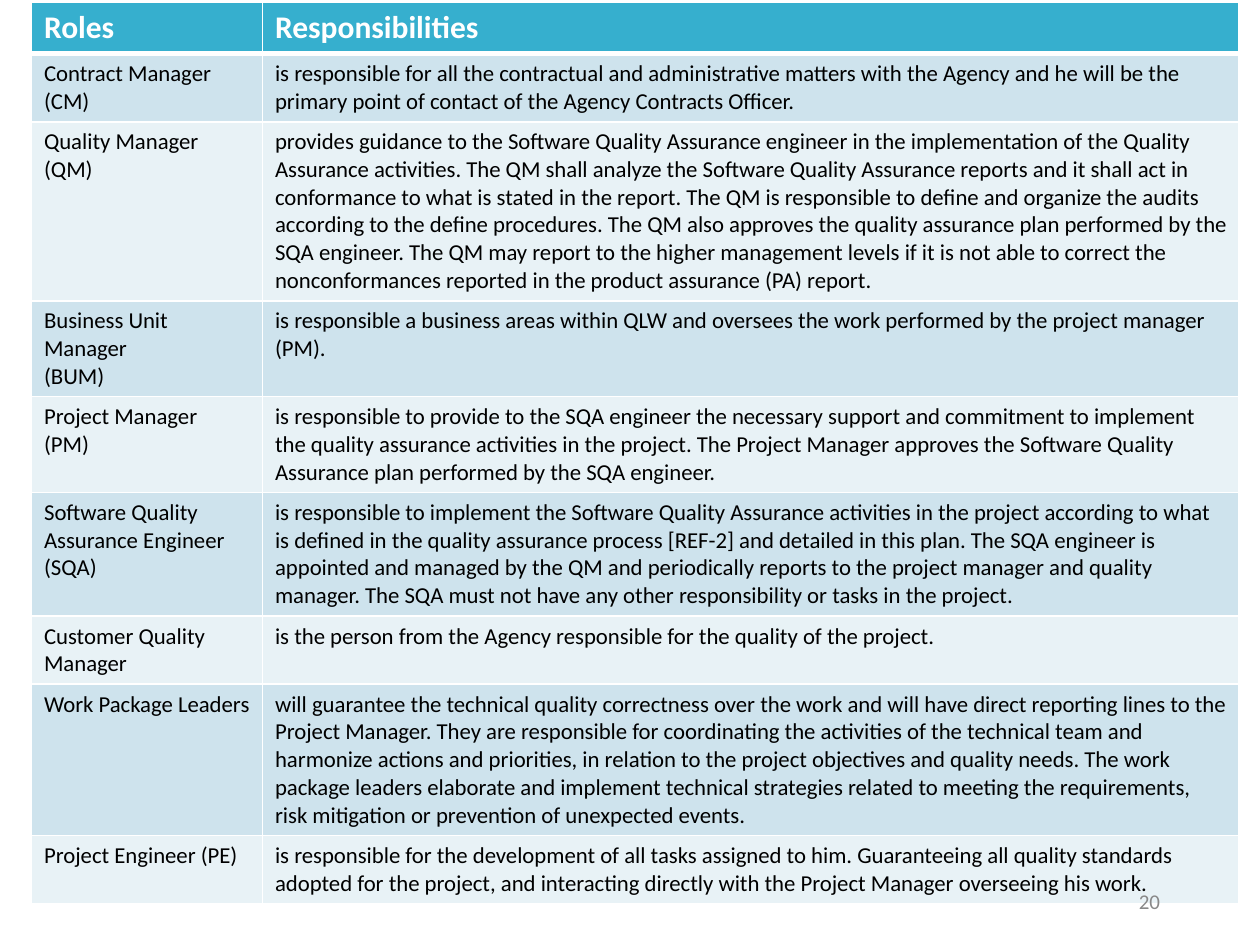
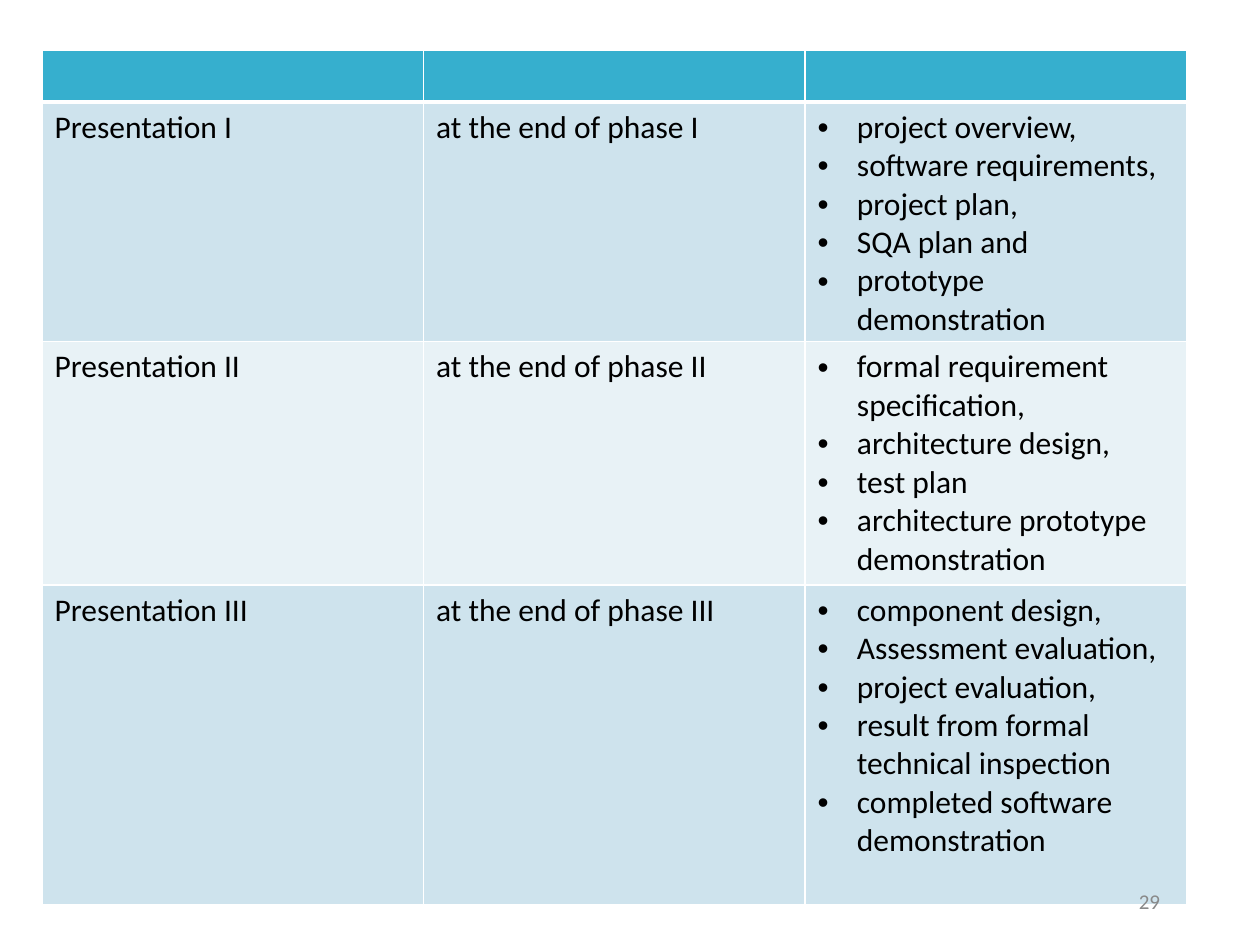
import pptx
import pptx.dml.color
import pptx.enum.text
import pptx.oxml
import pptx.oxml.ns
import pptx.util
from pptx.util import Pt

FONT = "Calibri"
HEADER, BANDS = "36AFCE", ("CEE3ED", "E8F2F6")
WHITE, BLACK, GREY = "FFFFFF", "000000", "898989"
HEADER_SIZE = 18
BULLET_INDENT = 22.5

# A cell is a string or a list of paragraphs.
ROLES = {
    "number": "20",
    "left": 18, "top": 1.5, "body_size": 13, "bulleted_column": None,
    "widths": [132, 558],
    "heights": [29.2, 38.4, 100.8, 54, 54, 69.6, 38.4, 85, 38.4],
    "rows": [
        ("Roles", "Responsibilities"),
        (["Contract Manager", "(CM)"],
         "is responsible for all the contractual and administrative matters with the "
         "Agency and he will be the primary point of contact of the Agency Contracts "
         "Officer."),
        (["Quality Manager", "(QM)"],
         "provides guidance to the Software Quality Assurance engineer in the "
         "implementation of the Quality Assurance activities. The QM shall analyze the "
         "Software Quality Assurance reports and it shall act in conformance to what is "
         "stated in the report. The QM is responsible to define and organize the audits "
         "according to the define procedures. The QM also approves the quality assurance "
         "plan performed by the SQA engineer. The QM may report to the higher management "
         "levels if it is not able to correct the nonconformances reported in the product "
         "assurance (PA) report."),
        (["Business Unit Manager", "(BUM)"],
         "is responsible a business areas within QLW and oversees the work performed by "
         "the project manager (PM)."),
        (["Project Manager", "(PM)"],
         "is responsible to provide to the SQA engineer the necessary support and "
         "commitment to implement the quality assurance activities in the project. The "
         "Project Manager approves the Software Quality Assurance plan performed by the "
         "SQA engineer."),
        (["Software Quality", "Assurance Engineer", "(SQA)"],
         "is responsible to implement the Software Quality Assurance activities in the "
         "project according to what is defined in the quality assurance process [REF-2] "
         "and detailed in this plan. The SQA engineer is appointed and managed by the QM "
         "and periodically reports to the project manager and quality manager. The SQA "
         "must not have any other responsibility or tasks in the project."),
        (["Customer Quality", "Manager"],
         "is the person from the Agency responsible for the quality of the project."),
        ("Work Package Leaders",
         "will guarantee the technical quality correctness over the work and will have "
         "direct reporting lines to the Project Manager. They are responsible for "
         "coordinating the activities of the technical team and harmonize actions and "
         "priorities, in relation to the project objectives and quality needs. The work "
         "package leaders elaborate and implement technical strategies related to meeting "
         "the requirements, risk mitigation or prevention of unexpected events."),
        ("Project Engineer (PE)",
         "is responsible for the development of all tasks assigned to him. Guaranteeing "
         "all quality standards adopted for the project, and interacting directly with "
         "the Project Manager overseeing his work."),
    ],
}

PRESENTATIONS = {
    "number": "29",
    "left": 24, "top": 29, "body_size": 18, "bulleted_column": 2,
    "widths": [218] * 3,
    "heights": [29.2, 137, 139, 183],
    "rows": [
        ("", "", ""),
        ("Presentation I", "at the end of phase I",
         ["project overview,", "software requirements,", "project plan,",
          "SQA plan and", "prototype demonstration"]),
        ("Presentation II", "at the end of phase II",
         ["formal requirement specification,", "architecture design,", "test plan",
          "architecture prototype demonstration"]),
        ("Presentation III", "at the end of phase III",
         ["component design,", "Assessment evaluation,", "project evaluation,",
          "result from formal technical inspection",
          "completed software demonstration"]),
    ],
}


def rgb(color):
    return pptx.dml.color.RGBColor.from_string(color)


def set_font(paragraph, size, color, bold=False):
    for run in paragraph.runs:
        run.font.name, run.font.size, run.font.bold = FONT, Pt(size), bold
        run.font.color.rgb = rgb(color)


def add_bullet(paragraph):
    properties = paragraph._p.get_or_add_pPr()
    properties.set("marL", str(Pt(BULLET_INDENT)))
    properties.set("indent", str(-Pt(BULLET_INDENT)))
    for xml in ('<a:buFont {} typeface="Arial"/>', '<a:buChar {} char="•"/>'):
        properties.append(pptx.oxml.parse_xml(xml.format(pptx.oxml.ns.nsdecls("a"))))


def add_borders(cell, top, bottom):
    """Draw white borders; call before the fill, which must follow them in the XML."""
    properties = cell._tc.get_or_add_tcPr()
    for side, width in (("L", 1), ("R", 1), ("T", top), ("B", bottom)):
        properties.append(pptx.oxml.parse_xml(
            f'<a:ln{side} {pptx.oxml.ns.nsdecls("a")} w="{Pt(width)}"><a:solidFill>'
            f'<a:srgbClr val="{WHITE}"/></a:solidFill></a:ln{side}>'))


def fill_cell(cell, content, row, body_size, bulleted):
    is_header = row == 0
    add_borders(cell, top=3 if row == 1 else 1, bottom=3 if is_header else 1)
    cell.fill.solid()
    cell.fill.fore_color.rgb = rgb(HEADER if is_header else BANDS[(row - 1) % 2])
    cell.text_frame.text = content if isinstance(content, str) else "\n".join(content)
    for paragraph in cell.text_frame.paragraphs:
        if bulleted and not is_header:
            add_bullet(paragraph)
        if is_header:
            set_font(paragraph, HEADER_SIZE, WHITE, bold=True)
        else:
            set_font(paragraph, body_size, BLACK)


def add_grid(slide, page):
    widths, heights, rows = page["widths"], page["heights"], page["rows"]
    grid = slide.shapes.add_table(
        len(rows), len(widths), Pt(page["left"]), Pt(page["top"]),
        Pt(sum(widths)), Pt(sum(heights))).table
    for column, width in zip(grid.columns, widths):
        column.width = Pt(width)
    for r, (height, contents) in enumerate(zip(heights, rows)):
        grid.rows[r].height = Pt(height)
        for c, content in enumerate(contents):
            fill_cell(grid.cell(r, c), content, r, page["body_size"],
                      c == page["bulleted_column"])


def add_page_number(slide, number):
    frame = slide.shapes.add_textbox(Pt(508), Pt(500.5), Pt(162), Pt(28.75)).text_frame
    frame.word_wrap = True
    frame.vertical_anchor = pptx.enum.text.MSO_ANCHOR.MIDDLE
    frame.text = number
    frame.paragraphs[0].alignment = pptx.enum.text.PP_ALIGN.RIGHT
    set_font(frame.paragraphs[0], 12, GREY)


def main():
    deck = pptx.Presentation()
    deck.slide_width, deck.slide_height = Pt(720), Pt(540)
    for page in (ROLES, PRESENTATIONS):
        slide = deck.slides.add_slide(deck.slide_layouts[6])
        add_grid(slide, page)
        add_page_number(slide, page["number"])
    deck.save("out.pptx")


if __name__ == "__main__":
    main()
